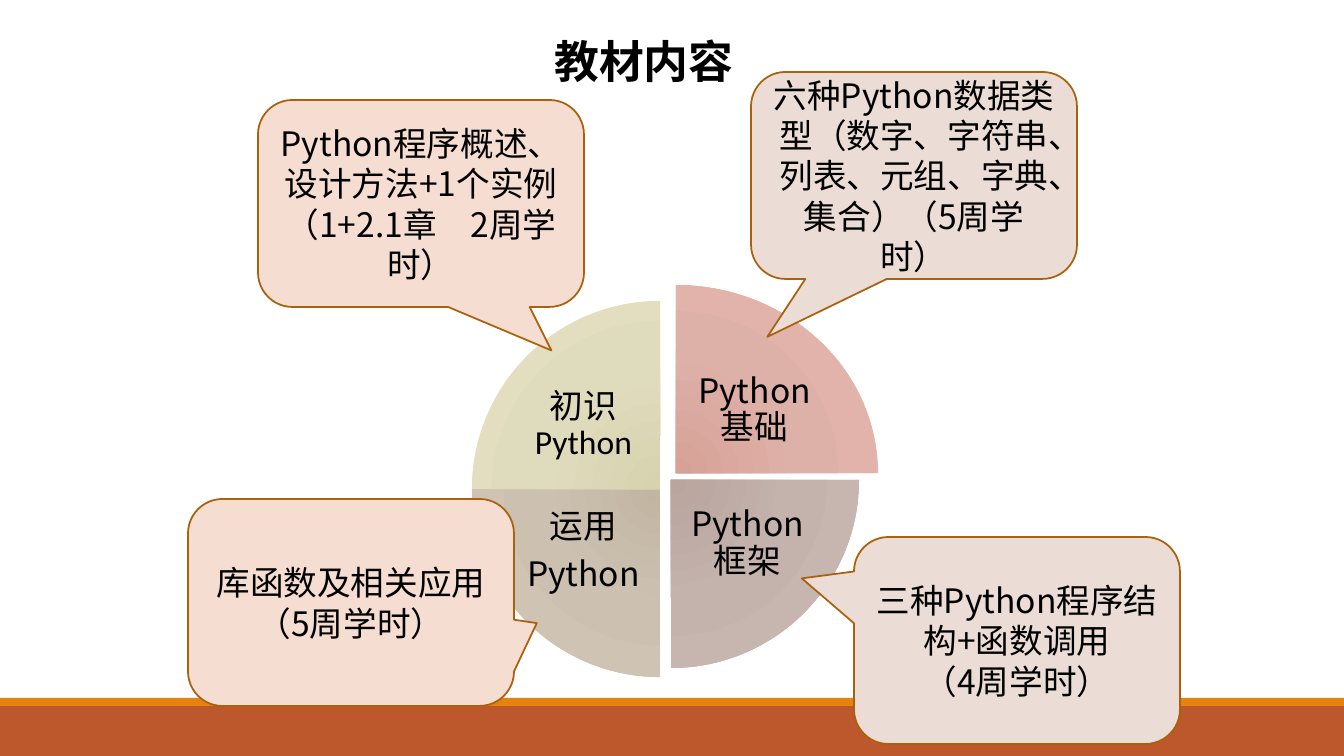
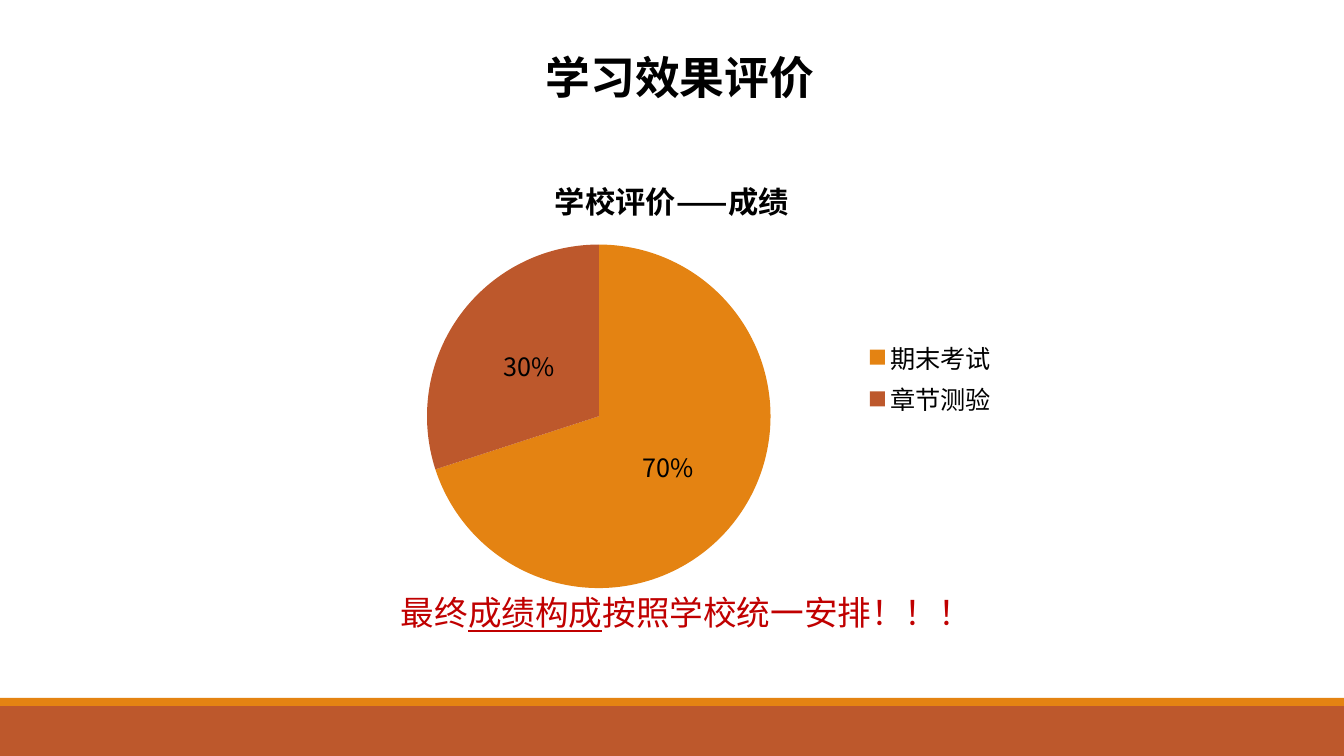
from lxml.etree import SubElement
from pptx import Presentation
from pptx.chart.data import CategoryChartData
from pptx.dml.color import RGBColor
from pptx.enum.chart import XL_CHART_TYPE, XL_LABEL_POSITION, XL_LEGEND_POSITION
from pptx.enum.shapes import MSO_SHAPE
from pptx.enum.text import MSO_ANCHOR, PP_ALIGN
from pptx.oxml import parse_xml
from pptx.oxml.ns import nsdecls, qn
from pptx.util import Pt

FONT = "Noto Sans CJK SC"
BLACK = "000000"
ORANGE = "E48312"
RUST = "BD582C"
RED = "C00000"
PEACH = "F5DDD2"
BEIGE = "EBDCD5"
BROWN = "A9610D"
EMU_PER_PX = 914400 / 100.8


def color(value):
    return RGBColor.from_string(value)


def write(shape, paragraphs, size=24, bold=False, ink=BLACK, spacing=1.0, after=0):
    frame = shape.text_frame
    frame.word_wrap = True
    for index, runs in enumerate(paragraphs):
        paragraph = frame.paragraphs[0] if index == 0 else frame.add_paragraph()
        paragraph.alignment = PP_ALIGN.CENTER
        paragraph.line_spacing = spacing
        paragraph.space_after = Pt(after)
        paragraph.font.size = Pt(size)
        paragraph.font.bold = bold
        paragraph.font.color.rgb = color(ink)
        for text, latin, underline in runs:
            run = paragraph.add_run()
            run.text = text
            run.font.name = latin
            run.font.size = Pt(size)
            run.font.bold = bold
            run.font.underline = underline
            run.font.color.rgb = color(ink)
            SubElement(run.font._element, qn("a:ea"), typeface=FONT)


presentation = Presentation()
presentation.slide_width = round(1344 * EMU_PER_PX)
presentation.slide_height = round(756 * EMU_PER_PX)

slides = []
for title, box in [("教材内容", (402, 29, 484, 65)), ("学习效果评价", (466, 45, 428, 65))]:
    slide = presentation.slides.add_slide(presentation.slide_layouts[6])
    for top, height, fill in [(706, 50, RUST), (698, 8, ORANGE)]:
        band = slide.shapes.add_shape(
            MSO_SHAPE.RECTANGLE, *(round(px * EMU_PER_PX) for px in (0, top, 1344, height)))
        band.shadow.inherit = False
        band.fill.solid()
        band.fill.fore_color.rgb = color(fill)
        band.line.fill.background()
    heading = slide.shapes.add_textbox(*(round(px * EMU_PER_PX) for px in box))
    write(heading, [[(title, FONT, False)]], size=32, bold=True)
    slides.append(slide)

content_slide, grading_slide = slides

sectors = [
    ((474, 285, 404, 376), (162, 0), ("D7A197", "DEB1A8", "E6B7AE"),
     (680, 355, 149, 112), [[("Python基础", FONT, False)]]),
    ((483, 292, 376, 376), (0, 54), ("B9A49E", "C4B2AD", "CCBAB5"),
     (678, 488, 139, 112), [[("Python框架", FONT, False)]]),
    ((472, 301, 376, 376), (54, 108), ("C2B5A2", "CCC1B1", "D4C8B8"),
     (514, 496, 139, 112), [[("运用", FONT, False)], [("Python", FONT, False)]]),
    ((472, 301, 376, 376), (108, 162), ("D7D3AF", "DFDBBD", "E5E1C1"),
     (514, 370, 139, 112), [[("初识", FONT, False), ("Python", "Calibri", False)]]),
]
for box, angles, tones, label_box, paragraphs in sectors:
    sector = content_slide.shapes.add_shape(
        MSO_SHAPE.PIE, *(round(px * EMU_PER_PX) for px in box))
    sector.adjustments[0], sector.adjustments[1] = angles
    sector.shadow.inherit = False
    sector.line.fill.background()
    sector.fill.background()
    stops = "".join(
        f'<a:gs pos="{position}"><a:srgbClr val="{tone}"/></a:gs>'
        for position, tone in zip((0, 45000, 100000), tones))
    gradient = parse_xml(
        f'<a:gradFill {nsdecls("a")} rotWithShape="1"><a:gsLst>{stops}</a:gsLst>'
        '<a:path path="circle"><a:fillToRect l="100000" t="100000" r="100000" b="100000"/>'
        '</a:path></a:gradFill>')
    properties = sector._element.spPr
    properties.replace(properties.find(qn("a:noFill")), gradient)

    label = content_slide.shapes.add_textbox(*(round(px * EMU_PER_PX) for px in label_box))
    frame = label.text_frame
    frame.vertical_anchor = MSO_ANCHOR.MIDDLE
    frame.margin_left = frame.margin_right = round(3 * EMU_PER_PX)
    frame.margin_top = frame.margin_bottom = round(3 * EMU_PER_PX)
    write(label, paragraphs, spacing=0.9, after=8.4)

callouts = [
    (258, 100, (0.4, 0.71), PEACH,
     ["Python程序概述、设计方法+1个实例", "（1+2.1章　2周学时）"]),
    (751, 72, (-0.45, 0.78), BEIGE,
     ["六种Python数据类型（数字、字符串、列表、元组、字典、集合）（5周学时）"]),
    (854, 537, (-0.66, -0.3), BEIGE, ["三种Python程序结构+函数调用", "（4周学时）"]),
    (188, 499, (0.57, 0.1), PEACH, ["库函数及相关应用", "（5周学时）"]),
]
for left, top, tip, fill, lines in callouts:
    callout = content_slide.shapes.add_shape(
        MSO_SHAPE.ROUNDED_RECTANGULAR_CALLOUT,
        *(round(px * EMU_PER_PX) for px in (left, top, 326, 207)))
    callout.adjustments[0], callout.adjustments[1] = tip
    callout.shadow.inherit = False
    callout.fill.solid()
    callout.fill.fore_color.rgb = color(fill)
    callout.line.color.rgb = color(BROWN)
    callout.line.width = Pt(1.25)
    callout.text_frame.vertical_anchor = MSO_ANCHOR.MIDDLE
    write(callout, [[(line, FONT, False)] for line in lines])

chart_data = CategoryChartData(number_format="0%")
chart_data.categories = ["期末考试", "章节测验"]
chart_data.add_series("Series 1", (0.7, 0.3))
chart = grading_slide.shapes.add_chart(
    XL_CHART_TYPE.PIE, *(round(px * EMU_PER_PX) for px in (336, 154, 672, 448)), chart_data).chart
chart.font.size = Pt(18)
chart.font.name = FONT
chart.font.color.rgb = color(BLACK)
chart.has_title = True
chart.chart_title.include_in_layout = False
chart_heading = chart.chart_title.text_frame.paragraphs[0]
chart_heading.text = "学校评价——成绩"
chart_heading.font.size = Pt(21.6)
chart_heading.font.bold = True
chart_heading.font.name = FONT
chart_heading.font.color.rgb = color(BLACK)
chart.has_legend = True
chart.legend.position = XL_LEGEND_POSITION.RIGHT
chart.legend.include_in_layout = False
plot = chart.plots[0]
plot.vary_by_categories = True
plot.has_data_labels = True
plot.data_labels.show_value = True
plot.data_labels.show_percentage = False
plot.data_labels.number_format = "0%"
plot.data_labels.number_format_is_linked = False
plot.data_labels.position = XL_LABEL_POSITION.CENTER
for index, fill in enumerate((ORANGE, RUST)):
    slice_format = plot.series[0].points[index].format
    slice_format.fill.solid()
    slice_format.fill.fore_color.rgb = color(fill)
    slice_format.line.fill.background()

remark = grading_slide.shapes.add_textbox(*(round(px * EMU_PER_PX) for px in (290, 567, 793, 72)))
write(remark, [[("最终", FONT, False), ("成绩构成", FONT, True),
                ("按照学校统一安排！！！", FONT, False)]], ink=RED, spacing=1.5)

presentation.save("out.pptx")
